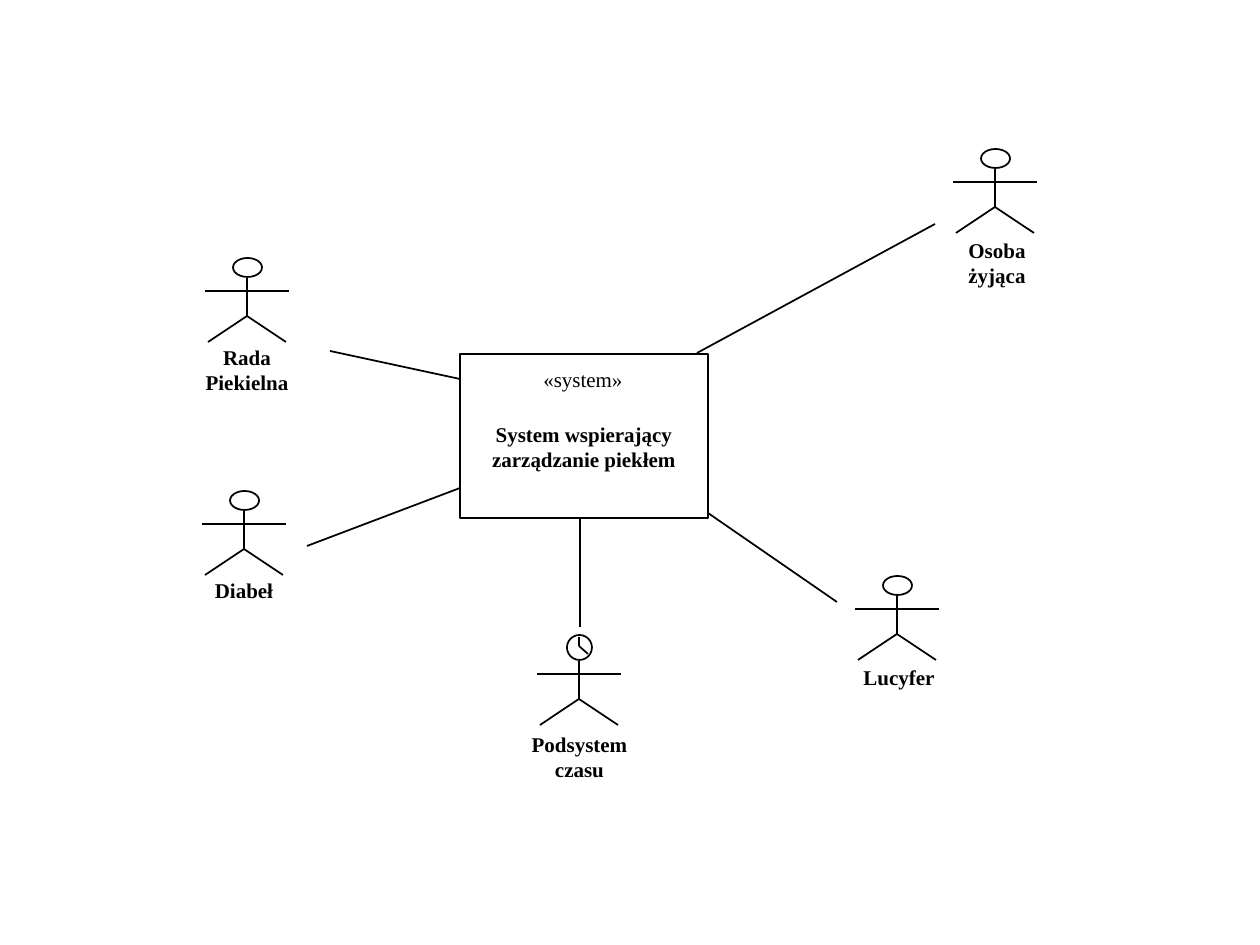
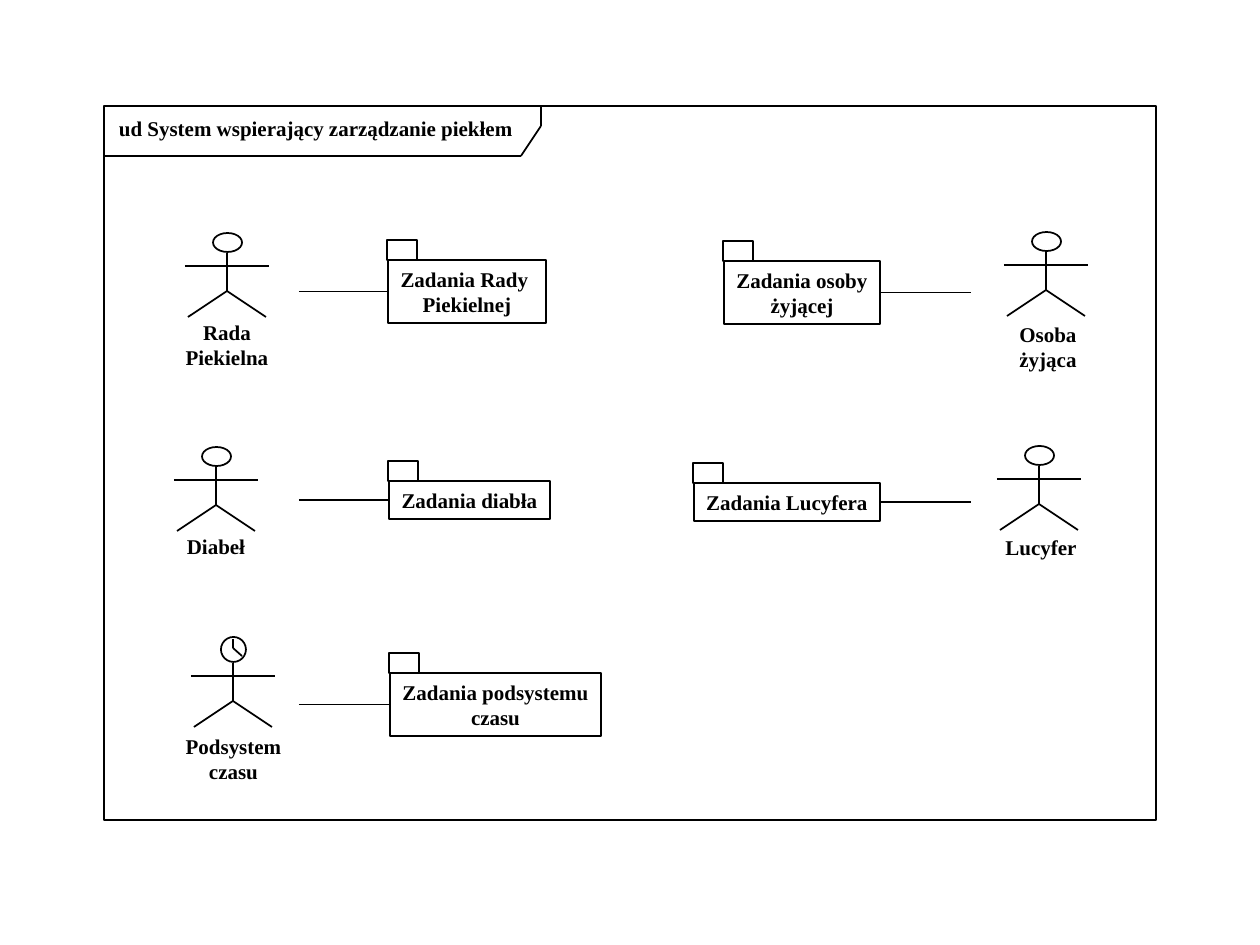
import itertools
from dataclasses import dataclass
from typing import NamedTuple

import lxml.etree
import pptx
import pptx.dml.color
import pptx.enum.shapes
import pptx.enum.text
import pptx.oxml.ns
import pptx.presentation
import pptx.shapes.autoshape
import pptx.shapes.connector
import pptx.slide
import pptx.util

PX_PER_INCH = 126
SLIDE_WIDTH, SLIDE_HEIGHT = 1260, 945
COLORS = {"ink": "000000", "paper": "FFFFFF"}
FONT = "Times New Roman"
FONT_SIZE = 12
LINE_WIDTH = 1
LINK_WIDTH = 0.75
LINE_HEIGHT = 25
TEXT_PADDING = 13
SIDE_INSET = 6
SHAPE = pptx.enum.shapes.MSO_SHAPE
ALIGN = pptx.enum.text.PP_ALIGN


class Point(NamedTuple):
    x: int
    y: int


class Box(NamedTuple):
    x: int
    y: int
    w: int
    h: int


@dataclass(frozen=True)
class Role:
    lines: tuple[str, ...]
    label_width: int
    has_clock: bool = False


@dataclass(frozen=True)
class Actor:
    role: Role
    neck: Point
    label: Point


@dataclass(frozen=True)
class Package:
    lines: tuple[str, ...]
    corner: Point
    width: int
    link_x: int


COUNCIL = Role(("Rada", "Piekielna"), 108)
DEVIL = Role(("Diabeł",), 84)
TIMER = Role(("Podsystem", "czasu"), 121, has_clock=True)
LUCIFER = Role(("Lucyfer",), 96)
LIVING = Role(("Osoba", "żyjąca"), 82)

CONTEXT_ACTORS = (
    Actor(COUNCIL, Point(247, 278), Point(247, 338)),
    Actor(DEVIL, Point(244, 511), Point(244, 571)),
    Actor(TIMER, Point(579, 661), Point(579, 725)),
    Actor(LUCIFER, Point(897, 596), Point(899, 658)),
    Actor(LIVING, Point(995, 169), Point(997, 231)),
)
CONTEXT_LINKS = (
    (Point(330, 351), Point(460, 379)),
    (Point(307, 546), Point(460, 488)),
    (Point(580, 518), Point(580, 627)),
    (Point(708, 513), Point(837, 602)),
    (Point(935, 224), Point(697, 353)),
)
SYSTEM_BOX = Box(460, 354, 248, 164)

TASK_ACTORS = (
    Actor(COUNCIL, Point(227, 253), Point(227, 313)),
    Actor(DEVIL, Point(216, 467), Point(216, 527)),
    Actor(LIVING, Point(1046, 252), Point(1048, 315)),
    Actor(LUCIFER, Point(1039, 466), Point(1041, 528)),
    Actor(TIMER, Point(233, 663), Point(233, 727)),
)
LEFT_LINK_X, RIGHT_LINK_X = 299, 971
PACKAGES = (
    Package(("Zadania Rady ", "Piekielnej"), Point(388, 260), 158, LEFT_LINK_X),
    Package(("Zadania diabła",), Point(389, 481), 161, LEFT_LINK_X),
    Package(("Zadania osoby", "żyjącej"), Point(724, 261), 156, RIGHT_LINK_X),
    Package(("Zadania Lucyfera",), Point(694, 483), 186, RIGHT_LINK_X),
    Package(("Zadania podsystemu", "czasu"), Point(390, 673), 211, LEFT_LINK_X),
)
FRAME = Box(104, 106, 1052, 714)
FRAME_TAB = (Point(104, 156), Point(521, 156), Point(541, 126), Point(541, 106))


def px(n: int) -> pptx.util.Emu:
    return pptx.util.Emu(round(n * pptx.util.Inches(1) / PX_PER_INCH))


def color(name: str) -> pptx.dml.color.RGBColor:
    return pptx.dml.color.RGBColor.from_string(COLORS[name])


def text_height(lines: tuple[str, ...]) -> int:
    return TEXT_PADDING + LINE_HEIGHT * len(lines)


def write(
    sp: pptx.shapes.autoshape.Shape, lines: tuple[str, ...], bold: bool = True
) -> None:
    tf = sp.text_frame
    tf.word_wrap = False
    tf.auto_size = pptx.enum.text.MSO_AUTO_SIZE.NONE
    tf.margin_left = tf.margin_right = px(SIDE_INSET)
    tf.text = "\n".join(lines)
    for p in tf.paragraphs:
        p.alignment = ALIGN.CENTER
        p.font.name = FONT
        p.font.size = pptx.util.Pt(FONT_SIZE)
        p.font.bold = bold
        p.font.color.rgb = color("ink")


def add_text(
    slide: pptx.slide.Slide,
    x: int,
    y: int,
    w: int,
    lines: tuple[str, ...],
    bold: bool = True,
) -> None:
    sp = slide.shapes.add_textbox(px(x), px(y), px(w), px(text_height(lines)))
    write(sp, lines, bold)


def add_outline(
    slide: pptx.slide.Slide, kind: pptx.enum.shapes.MSO_SHAPE, box: Box
) -> pptx.shapes.autoshape.Shape:
    sp = slide.shapes.add_shape(kind, *map(px, box))
    sp.shadow.inherit = False
    sp.fill.solid()
    sp.fill.fore_color.rgb = color("paper")
    sp.line.color.rgb = color("ink")
    sp.line.width = pptx.util.Pt(LINE_WIDTH)
    return sp


def add_line(
    slide: pptx.slide.Slide, start: Point, end: Point, width: float = LINE_WIDTH
) -> pptx.shapes.connector.Connector:
    line = slide.shapes.add_connector(
        pptx.enum.shapes.MSO_CONNECTOR.STRAIGHT, *map(px, (*start, *end))
    )
    line.line.color.rgb = color("ink")
    line.line.width = pptx.util.Pt(width)
    lxml.etree.SubElement(line._element.spPr, pptx.oxml.ns.qn("a:effectLst"))
    return line


def add_polyline(slide: pptx.slide.Slide, points: tuple[Point, ...]) -> None:
    for start, end in itertools.pairwise(points):
        add_line(slide, start, end)


def add_actor(slide: pptx.slide.Slide, actor: Actor) -> None:
    x, y = actor.neck
    hip = Point(x, y + 38)
    add_line(slide, actor.neck, hip)
    add_line(slide, Point(x - 42, y + 13), Point(x + 42, y + 13))
    add_polyline(slide, (Point(x - 39, y + 64), hip, Point(x + 39, y + 64)))
    if actor.role.has_clock:
        add_outline(slide, SHAPE.OVAL, Box(x - 12, y - 26, 25, 25))
        hands = (Point(x, y - 24), Point(x, y - 15), Point(x + 9, y - 7))
        add_polyline(slide, hands)
    else:
        add_outline(slide, SHAPE.OVAL, Box(x - 14, y - 20, 29, 19))
    w = actor.role.label_width
    add_text(slide, actor.label.x - w // 2, actor.label.y, w, actor.role.lines)


def add_package(slide: pptx.slide.Slide, package: Package) -> None:
    x, y = package.corner
    h = text_height(package.lines)
    add_outline(slide, SHAPE.RECTANGLE, Box(x - 1, y - 20, 30, 20))
    body = add_outline(slide, SHAPE.RECTANGLE, Box(x, y, package.width, h))
    write(body, package.lines)
    on_left = package.link_x < x
    mid = y + h // 2
    edge = Point(x if on_left else x + package.width, mid)
    link = add_line(slide, Point(package.link_x, mid), edge, LINK_WIDTH)
    link.end_connect(body, 1 if on_left else 3)
    link.begin_y = link.end_y


def build_context(prs: pptx.presentation.Presentation) -> None:
    slide = prs.slides.add_slide(prs.slide_layouts[6])
    add_outline(slide, SHAPE.RECTANGLE, SYSTEM_BOX)
    add_text(slide, 530, 360, 106, ("«system»",), bold=False)
    add_text(slide, 470, 415, 228, ("System wspierający", "zarządzanie piekłem"))
    for start, end in CONTEXT_LINKS:
        add_line(slide, start, end)
    for actor in CONTEXT_ACTORS:
        add_actor(slide, actor)


def build_tasks(prs: pptx.presentation.Presentation) -> None:
    slide = prs.slides.add_slide(prs.slide_layouts[6])
    add_outline(slide, SHAPE.RECTANGLE, FRAME)
    add_polyline(slide, FRAME_TAB)
    title = ("ud System wspierający zarządzanie piekłem",)
    add_text(slide, 106, 109, 420, title)
    for actor in TASK_ACTORS:
        add_actor(slide, actor)
    for package in PACKAGES:
        add_package(slide, package)


def main() -> None:
    prs = pptx.Presentation()
    prs.slide_width = px(SLIDE_WIDTH)
    prs.slide_height = px(SLIDE_HEIGHT)
    build_context(prs)
    build_tasks(prs)
    prs.save("out.pptx")


if __name__ == "__main__":
    main()
